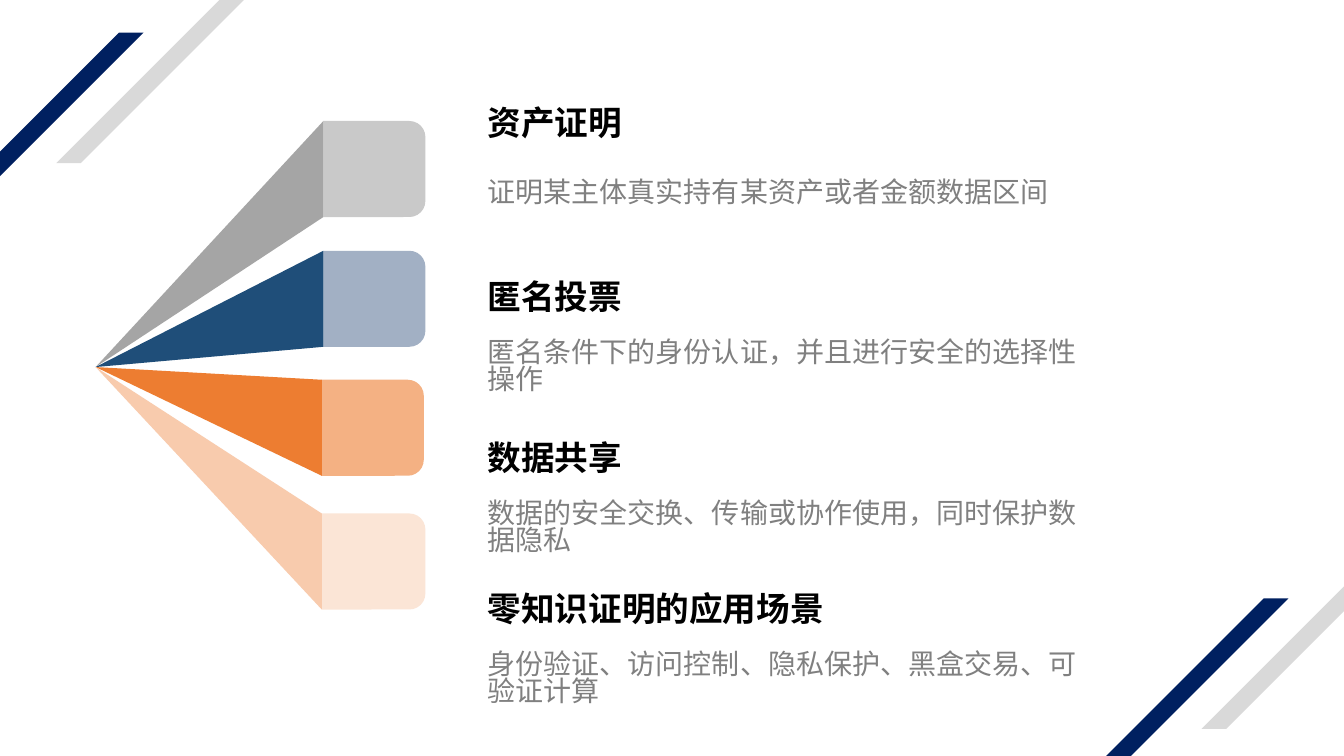
"""Builds a slide with four application scenes of zero-knowledge proofs."""
import pptx
import pptx.dml.color
import pptx.enum.shapes
import pptx.enum.text
import pptx.oxml
import pptx.oxml.ns
import pptx.util

Cm = pptx.util.Cm
Pt = pptx.util.Pt
MSO_SHAPE = pptx.enum.shapes.MSO_SHAPE


def rgb(value):
    return pptx.dml.color.RGBColor.from_string(value)


def paint(sp, color):
    sp.shadow.inherit = False
    sp.fill.solid()
    sp.fill.fore_color.rgb = rgb(color)
    sp.line.fill.background()


prs = pptx.Presentation()
prs.slide_width = Cm(33.87)
prs.slide_height = Cm(19.05)
s = prs.slides.add_slide(prs.slide_layouts[6])

stripes = [
    (-3.58, 0.82, "002060"),
    (1.42, -2.47, "D9D9D9"),
    (25.27, 15.08, "002060"),
    (30.28, 11.79, "D9D9D9"),
]
for left, top, color in stripes:
    sp = s.shapes.add_shape(MSO_SHAPE.PARALLELOGRAM, Cm(left), Cm(top), Cm(7.2), Cm(6.58))
    sp.adjustments[0] = 1.0
    paint(sp, color)

apex = (Cm(2.41), Cm(9.25))
tab_height = 2.42
tabs = [
    (8.15, 3.05, 2.57, "A5A5A5", "C9C9C9"),
    (8.15, 6.32, 2.57, "1F4E79", "A2B0C4"),
    (8.11, 9.57, 2.57, "ED7D31", "F4B183"),
    (8.11, 12.94, 2.61, "F8CBAD", "FBE5D6"),
]
for left, top, width, wedge_color, tab_color in tabs:
    offset = (width - tab_height) / 2
    sp = s.shapes.add_shape(MSO_SHAPE.ROUND_2_SAME_RECTANGLE, Cm(left + offset),
                            Cm(top - offset), Cm(tab_height), Cm(width))
    sp.rotation = 90
    paint(sp, tab_color)

    builder = s.shapes.build_freeform(*apex)
    builder.add_line_segments([(Cm(left), Cm(top)), (Cm(left), Cm(top + tab_height))])
    paint(builder.convert_to_shape(), wedge_color)

scenes = [
    (2.49, "资产证明", "证明某主体真实持有某资产或者金额数据区间"),
    (6.88, "匿名投票", "匿名条件下的身份认证，并且进行安全的选择性操作"),
    (10.94, "数据共享", "数据的安全交换、传输或协作使用，同时保护数据隐私"),
    (14.74, "零知识证明的应用场景", "身份验证、访问控制、隐私保护、黑盒交易、可验证计算"),
]
for top, heading, detail in scenes:
    boxes = [
        (top, 13.36, 1.36, heading, "Calibri", 24, "000000", True),
        (top + 1.36, 15.47, 2.08, detail, "Noto Sans CJK SC", 20, "808080", False),
    ]
    for y, width, height, text, font, size, color, bold in boxes:
        tf = s.shapes.add_textbox(Cm(12.04), Cm(y), Cm(width), Cm(height)).text_frame
        tf.word_wrap = True
        tf.vertical_anchor = pptx.enum.text.MSO_ANCHOR.MIDDLE
        tf.text = text
        p = tf.paragraphs[0]
        p.line_spacing = 0.8
        r = p.runs[0]
        r.font.name = font
        r.font.size = Pt(size)
        r.font.bold = bold
        r.font.color.rgb = rgb(color)
        ea = pptx.oxml.parse_xml(
            f'<a:ea {pptx.oxml.ns.nsdecls("a")} typeface="Noto Sans CJK SC"/>')
        r.font._element.append(ea)

prs.save("out.pptx")
